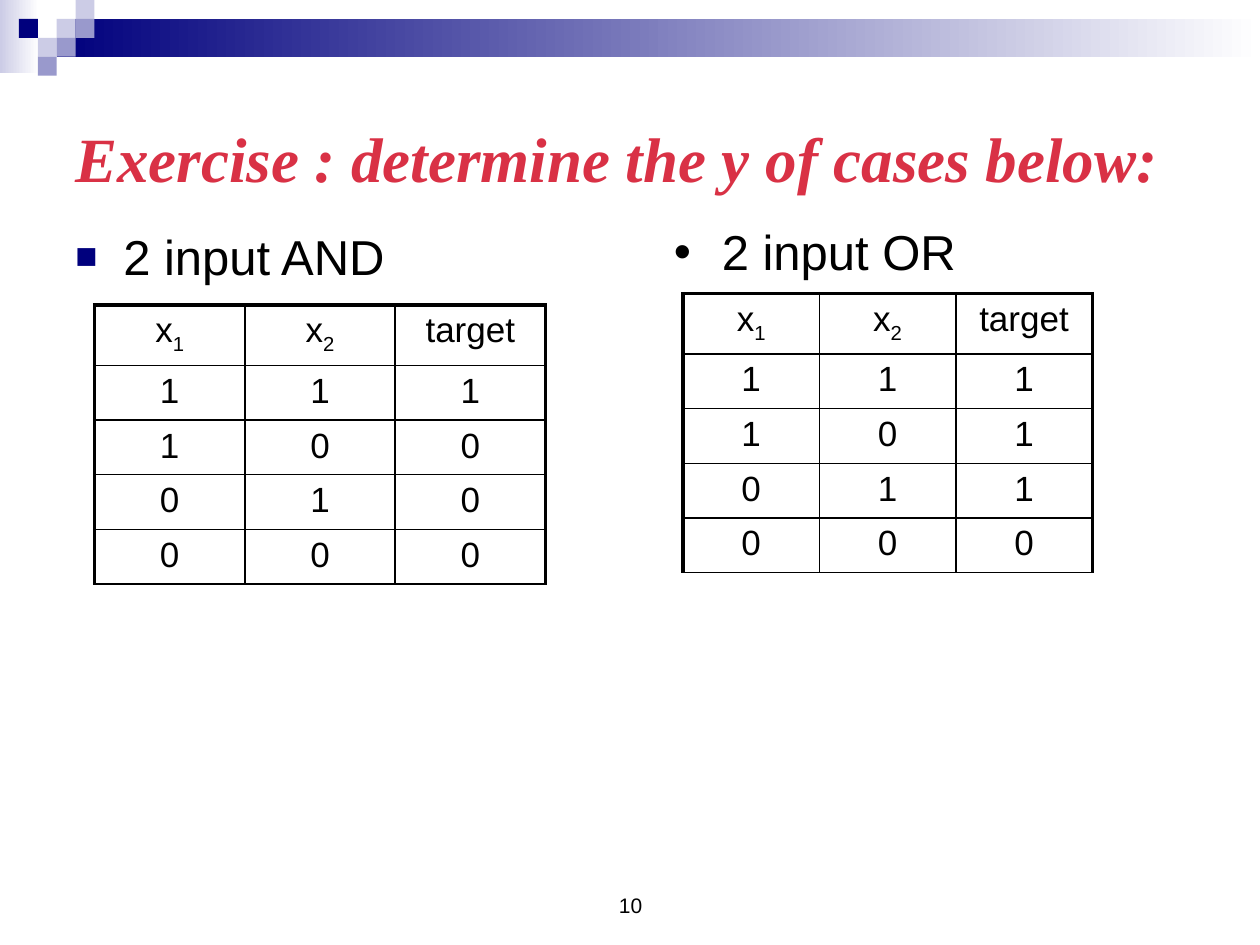
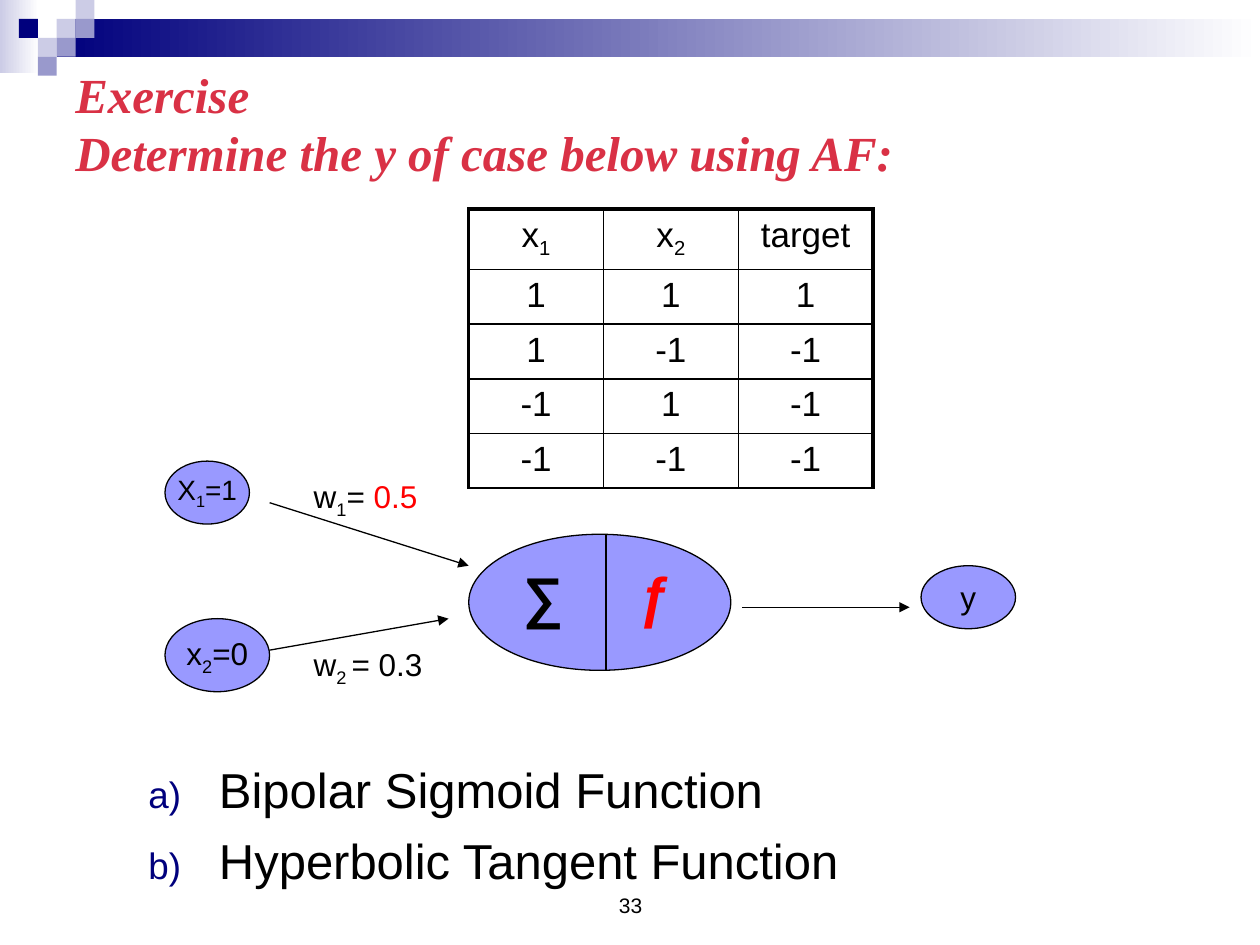
from lxml.etree import SubElement
from pptx import Presentation
from pptx.dml.color import RGBColor
from pptx.enum.shapes import MSO_CONNECTOR, MSO_SHAPE
from pptx.enum.text import MSO_ANCHOR, PP_ALIGN
from pptx.oxml.ns import qn
from pptx.util import Inches, Pt

COLORS = {
    "navy": "00007D", "violet": "9999CC", "lilac": "CCCCE6", "white": "FFFFFF",
    "title": "D93145", "text": "000000", "neuron": "9999FF", "red": "FF0000",
}
BODY = {"name": "Arial", "size": Pt(28)}
TITLE = {"name": "Times New Roman", "bold": True, "italic": True}
SUB = {"subscript": True}
RED = {"color": "red"}
TABLE_HEAD = [["x", ("1", SUB)], ["x", ("2", SUB)], ["target"]]
SQUARE = 0.15
# Column, row and colour of each corner square
SQUARES = [(3, 1, "lilac"), (4, 0, "lilac"), (4, 1, "violet"), (2, 2, "lilac"),
           (1, 1, "navy"), (3, 2, "violet"), (2, 3, "violet")]


def rgb(name):
    return RGBColor.from_string(COLORS[name])


def inches(*lengths):
    return [Inches(length) for length in lengths]


# Text
def write_spans(paragraph, spans, style, color="text"):
    """Add spans: plain strings, or (string, changes) pairs."""
    for item in spans:
        content, changes = (item, {}) if isinstance(item, str) else item
        if content == "\n":
            paragraph.add_line_break()
            continue
        span = paragraph.add_run()
        span.text = content
        for key, value in style.items():
            setattr(span.font, key, value)
        span.font.color.rgb = rgb(changes.get("color", color))
        if changes.get("subscript"):
            span._r.get_or_add_rPr().set("baseline", "-25000")


def add_text(page, at, spans, style, color="text", align=PP_ALIGN.LEFT,
             anchor=MSO_ANCHOR.TOP):
    frame = page.shapes.add_textbox(*inches(*at)).text_frame
    frame.word_wrap = True
    frame.vertical_anchor = anchor
    paragraph = frame.paragraphs[0]
    paragraph.alignment = align
    write_spans(paragraph, spans, style, color)


def add_bullet(paragraph, indent, tag, attributes, color=None):
    properties = paragraph._p.get_or_add_pPr()
    properties.set("marL", str(Inches(indent)))
    properties.set("indent", str(-Inches(indent)))
    if color:
        tint = SubElement(properties, qn("a:buClr"))
        SubElement(tint, qn("a:srgbClr"), val=COLORS[color])
        SubElement(properties, qn("a:buSzPct"), val="75000")
    SubElement(properties, qn("a:buFont"), typeface="Arial")
    SubElement(properties, qn(tag), attributes)


def add_list(page, at, lines, indent, tag, attributes, color=None):
    frame = page.shapes.add_textbox(*inches(*at)).text_frame
    frame.word_wrap = True
    frame.margin_top = Inches(0.09)
    for index, line in enumerate(lines):
        paragraph = frame.add_paragraph() if index else frame.paragraphs[0]
        add_bullet(paragraph, indent, tag, attributes, color)
        if index:
            paragraph.space_before = Pt(7)
        write_spans(paragraph, [line], BODY)


# Shapes and lines
def add_block(page, at, *colors):
    """Rectangle without outline; two colours give a gradient."""
    block = page.shapes.add_shape(MSO_SHAPE.RECTANGLE, *inches(*at))
    block.shadow.inherit = False
    block.line.fill.background()
    if len(colors) == 1:
        block.fill.solid()
        block.fill.fore_color.rgb = rgb(colors[0])
        return
    block.fill.gradient()
    block.fill.gradient_angle = 0
    for stop, color in zip(block.fill.gradient_stops, colors):
        stop.color.rgb = rgb(color)


def add_neuron(page, at, spans=()):
    neuron = page.shapes.add_shape(MSO_SHAPE.OVAL, *inches(*at))
    neuron.shadow.inherit = False
    neuron.fill.solid()
    neuron.fill.fore_color.rgb = rgb("neuron")
    neuron.line.color.rgb = rgb("text")
    neuron.line.width = Pt(0.75)
    frame = neuron.text_frame
    frame.word_wrap = False
    frame.vertical_anchor = MSO_ANCHOR.MIDDLE
    frame.paragraphs[0].alignment = PP_ALIGN.CENTER
    write_spans(frame.paragraphs[0], spans, BODY | {"size": Pt(18)})


def add_line(page, start, end, arrow=True):
    line = page.shapes.add_connector(MSO_CONNECTOR.STRAIGHT, *inches(*start, *end))
    line.line.color.rgb = rgb("text")
    line.line.width = Pt(0.75)
    if arrow:
        SubElement(line.line._get_or_add_ln(), qn("a:tailEnd"), type="triangle")
    SubElement(line._element.spPr, qn("a:effectLst"))


# Truth tables
def add_border(cell, side, width):
    border = SubElement(cell._tc.get_or_add_tcPr(), qn(f"a:ln{side}"), w=str(Pt(width)))
    fill = SubElement(border, qn("a:solidFill"))
    SubElement(fill, qn("a:srgbClr"), val=COLORS["text"])


def add_truth_table(page, left, top, width, row_height, cases):
    rows = TABLE_HEAD, *[[[value] for value in case.split()] for case in cases]
    columns = len(TABLE_HEAD)
    table = page.shapes.add_table(
        len(rows), columns, *inches(left, top, width, row_height * len(rows))).table
    table.first_row = table.horz_banding = False
    for column in table.columns:
        column.width = Inches(width / columns)
    for r, row in enumerate(rows):
        table.rows[r].height = Inches(row_height if r else 0.45)
        for c, spans in enumerate(row):
            cell = table.cell(r, c)
            thick = {"L": c == 0, "R": c == columns - 1, "T": r == 0, "B": False}
            for side, is_thick in thick.items():
                add_border(cell, side, 2.25 if is_thick else 1)
            cell.fill.background()
            paragraph = cell.text_frame.paragraphs[0]
            paragraph.alignment = PP_ALIGN.CENTER
            write_spans(paragraph, spans, BODY | {"size": Pt(20)})


# Shared page design
def add_page(deck, number, title, title_at, title_size):
    page = deck.slides.add_slide(deck.slide_layouts[6])
    add_block(page, (0, 0, 0.31, 0.58), "lilac", "white")
    add_block(page, (0.45, 0.15, 9.55, 0.3), "navy", "white")
    for column, row, color in SQUARES:
        add_block(page, (column * SQUARE, row * SQUARE, SQUARE, SQUARE), color)
    add_text(page, (3.42, 6.83, 3.17, 0.5), [str(number)], BODY | {"size": Pt(12)},
             align=PP_ALIGN.CENTER, anchor=MSO_ANCHOR.BOTTOM)
    add_text(page, title_at, title, TITLE | {"size": Pt(title_size)}, "title",
             anchor=MSO_ANCHOR.MIDDLE)
    return page


def add_gates_page(deck):
    page = add_page(deck, 10, ["Exercise : determine the y of cases below:"],
                    (0.5, 0.5, 9, 1.5), 36)
    add_list(page, (0.5, 1.71, 4.42, 4.25), ["2 input AND"], 0.38,
             "a:buChar", {"char": "■"}, "navy")
    add_truth_table(page, 0.75, 2.42, 3.58, 0.43, ["1 1 1", "1 0 0", "0 1 0", "0 0 0"])
    add_truth_table(page, 5.42, 2.33, 3.25, 0.43, ["1 1 1", "1 0 1", "0 1 1", "0 0 0"])
    add_list(page, (5.25, 1.67, 4.42, 4.95), ["2 input OR"], 0.38,
             "a:buChar", {"char": "•"})


def add_network_page(deck):
    page = add_page(deck, 33, ["Exercise", "\n", "Determine the y of case below using AF:"],
                    (0.5, 0.69, 9, 0.57), 28)
    add_list(page, (1.08, 5.94, 8.06, 0.94),
             ["Bipolar Sigmoid Function", "Hyperbolic Tangent Function"], 0.56,
             "a:buAutoNum", {"type": "alphaLcParenR"}, "navy")
    add_truth_table(page, 3.72, 1.66, 3.21, 0.41,
                    ["1 1 1", "1 -1 -1", "-1 1 -1", "-1 -1 -1"])

    # Neurons
    add_neuron(page, (1.31, 3.66, 0.67, 0.5))
    add_neuron(page, (1.31, 4.91, 0.83, 0.58), ["x", ("2", SUB), "=0"])
    add_neuron(page, (3.72, 4.24, 2.08, 1.08))
    add_neuron(page, (7.31, 4.49, 0.75, 0.5), ["y"])

    # Links between neurons, and the divider of the middle one
    add_line(page, (2.14, 5.16), (3.56, 4.91))
    add_line(page, (2.14, 3.99), (3.72, 4.49))
    add_line(page, (5.89, 4.82), (7.22, 4.82))
    add_line(page, (4.81, 4.24), (4.81, 5.32), arrow=False)

    # Input, weights, sum and activation function
    weight = BODY | {"size": Pt(18)}
    symbol = BODY | {"size": Pt(32), "bold": True}
    add_text(page, (1.31, 3.7, 0.83, 0.37), ["X", ("1", SUB), "=1"],
             BODY | {"size": Pt(16)})
    add_text(page, (2.39, 3.74, 1.58, 0.4), ["w", ("1", SUB), "= ", ("0.5", RED)], weight)
    add_text(page, (2.39, 5.07, 1.25, 0.4), ["w", ("2 ", SUB), "= 0.3"], weight)
    add_text(page, (4.06, 4.41, 0.5, 0.63), ["∑"], symbol)
    add_text(page, (4.97, 4.41, 0.5, 0.63), ["ƒ"], symbol | {"italic": True}, "red")


def main():
    deck = Presentation()
    deck.slide_width, deck.slide_height = inches(10, 7.5)
    add_gates_page(deck)
    add_network_page(deck)
    deck.save("out.pptx")


if __name__ == "__main__":
    main()
